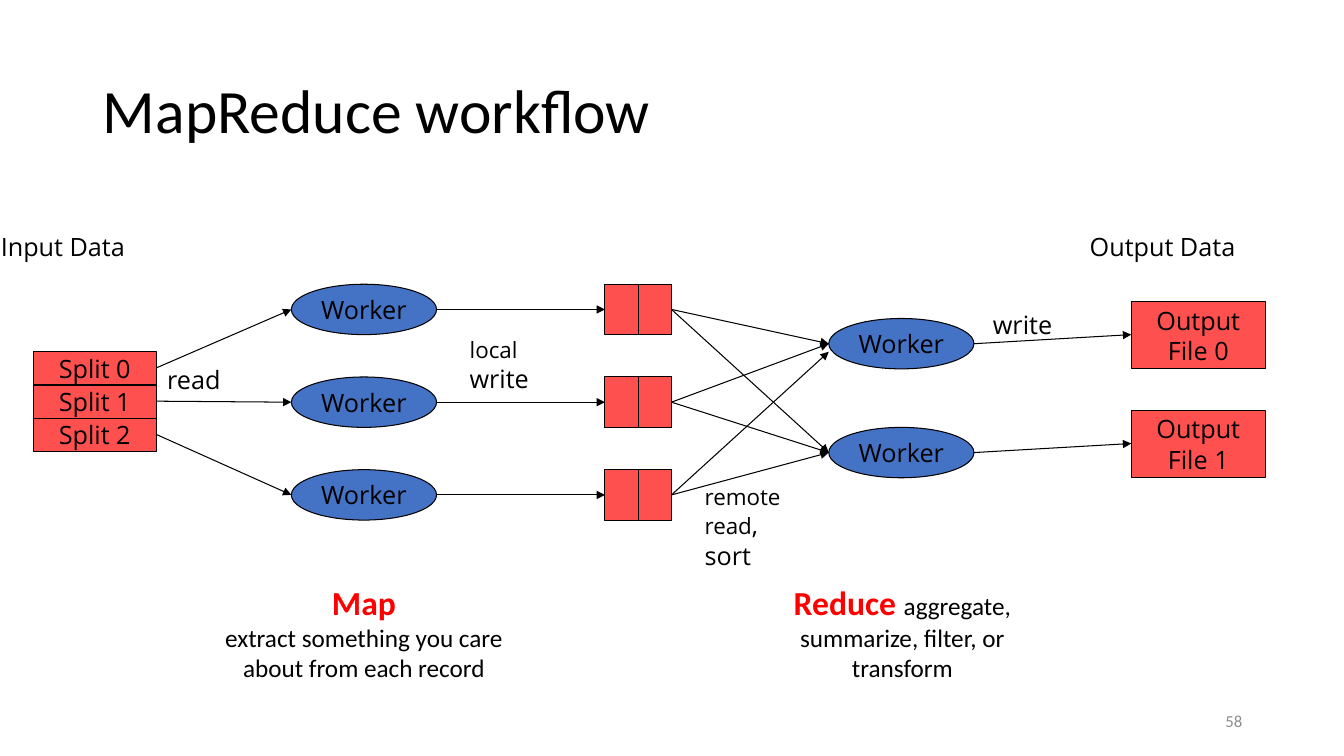
from dataclasses import dataclass
from itertools import product
from typing import Any

from lxml.etree import SubElement
from pptx import Presentation
from pptx.dml.color import RGBColor
from pptx.enum.shapes import MSO_CONNECTOR as Connector, MSO_SHAPE as Shape
from pptx.enum.text import MSO_ANCHOR as Anchor, MSO_AUTO_SIZE as AutoSize, PP_ALIGN as Align
from pptx.oxml.ns import qn
from pptx.util import Emu, Pt

PX = 9144


@dataclass(frozen=True)
class Theme:
    body_font: str = "Calibri"
    diagram_font: str = "Open Sans"
    ink: str = "000000"
    worker: str = "4472C4"
    data: str = "FF5050"
    accent: str = "FF0000"
    muted: str = "8C8C8C"
    title: int = 44
    heading: int = 24
    body: int = 18
    small: int = 16
    footer: int = 12
    line: float = 0.75


THEME = Theme()


@dataclass(frozen=True)
class Run:
    text: str
    size: int = THEME.body
    font: str = THEME.diagram_font
    color: str = THEME.ink
    bold: bool = False


Lines = list[list[Run]]


@dataclass(frozen=True)
class Box:
    left: int
    top: int
    width: int
    height: int

    @property
    def middle(self) -> int:
        return self.top + self.height // 2

    @property
    def entry(self) -> tuple[int, int]:
        return self.left, self.middle

    @property
    def leaving(self) -> tuple[int, int]:
        return self.left + self.width, self.middle


@dataclass(frozen=True)
class Node:
    box: Box
    kind: Shape
    fill: str
    lines: tuple[str, ...] = ()


@dataclass(frozen=True)
class Label:
    box: Box
    lines: Lines
    align: Align = Align.LEFT
    wrap: bool = False
    anchor: Anchor = Anchor.TOP


def apply(target: Any, values: dict[str, Any]) -> None:
    for name, value in values.items():
        setattr(target, name, value)


def place(box: Box) -> list[Emu]:
    return [Emu(length * PX) for length in (box.left, box.top, box.width, box.height)]


def write(frame: Any, lines: Lines, align: Align, spacing: float = 1.0) -> None:
    for index, runs in enumerate(lines):
        paragraph = frame.add_paragraph() if index else frame.paragraphs[0]
        apply(paragraph, {"alignment": align, "line_spacing": spacing})
        for item in runs:
            run = paragraph.add_run()
            run.text = item.text
            apply(run.font, {"size": Pt(item.size), "name": item.font, "bold": item.bold})
            run.font.color.rgb = RGBColor.from_string(item.color)


def outline(shape: Any) -> None:
    shape.line.color.rgb = RGBColor.from_string(THEME.ink)
    shape.line.width = Pt(THEME.line)


def draw_title(slide: Any, box: Box, run: Run) -> None:
    title = slide.shapes.title
    apply(title, dict(zip(("left", "top", "width", "height"), place(box))))
    apply(title.text_frame, {"vertical_anchor": Anchor.MIDDLE, "auto_size": AutoSize.NONE})
    write(title.text_frame, [[run]], Align.LEFT, 0.9)


def draw_node(slide: Any, node: Node) -> None:
    shape = slide.shapes.add_shape(node.kind, *place(node.box))
    shape.shadow.inherit = False
    shape.fill.solid()
    shape.fill.fore_color.rgb = RGBColor.from_string(node.fill)
    outline(shape)
    apply(shape.text_frame, {"word_wrap": False, "vertical_anchor": Anchor.MIDDLE})
    write(shape.text_frame, [[Run(line)] for line in node.lines], Align.CENTER)


def draw_label(slide: Any, label: Label) -> None:
    frame = slide.shapes.add_textbox(*place(label.box)).text_frame
    apply(frame, {"word_wrap": label.wrap, "vertical_anchor": label.anchor})
    write(frame, label.lines, label.align)


def draw_arrow(slide: Any, start: tuple[int, int], end: tuple[int, int]) -> None:
    ends = [Emu(length * PX) for length in (*start, *end)]
    arrow = slide.shapes.add_connector(Connector.STRAIGHT, *ends)
    outline(arrow)
    SubElement(arrow.line._get_or_add_ln(), qn("a:tailEnd"), type="triangle")
    SubElement(arrow._element.spPr, qn("a:effectLst"))


def heading(text: str) -> Run:
    return Run(text, THEME.heading, THEME.body_font, THEME.accent, True)


def caption(text: str) -> Run:
    return Run(text, font=THEME.body_font)


def main() -> None:
    presentation = Presentation()
    apply(presentation, {"slide_width": Emu(1333 * PX), "slide_height": Emu(750 * PX)})
    slide = presentation.slides.add_slide(presentation.slide_layouts[5])
    draw_title(slide, Box(92, 40, 1150, 145),
               Run("MapReduce workflow", THEME.title, THEME.body_font))

    map_tops = [282 + 92 * row for row in range(3)]
    reduce_rows = [108 * row for row in range(2)]
    mappers = [Box(289, top, 144, 50) for top in map_tops]
    reducers = [Box(822, 316 + offset, 144, 50) for offset in reduce_rows]
    splits = [Box(33, 349 + 33 * row, 122, 33) for row in range(3)]
    outputs = [Box(1122, 299 + offset, 133, 67) for offset in reduce_rows]
    buffers = [[Box(600 + 33 * column, top, 33, 50) for column in range(2)] for top in map_tops]

    nodes = [Node(box, Shape.OVAL, THEME.worker, ("Worker",)) for box in mappers + reducers]
    nodes += [Node(box, Shape.RECTANGLE, THEME.data) for pair in buffers for box in pair]
    nodes += [Node(box, Shape.RECTANGLE, THEME.data, (f"Split {index}",))
              for index, box in enumerate(splits)]
    nodes += [Node(box, Shape.RECTANGLE, THEME.data, ("Output", f"File {index}"))
              for index, box in enumerate(outputs)]
    for node in nodes:
        draw_node(slide, node)

    flows = [*zip(splits, mappers), *zip(mappers, [pair[0] for pair in buffers]),
             *zip(reducers, outputs)]
    for source, target in flows:
        draw_arrow(slide, source.leaving, target.entry)
    for (row, pair), (column, reducer) in product(enumerate(buffers), enumerate(reducers)):
        left, middle = reducer.entry
        drop = 8 if (row, column) == (2, 0) else 0
        draw_arrow(slide, pair[1].leaving, (left, middle + drop))

    labels = [
        Label(Box(-9, 225, 157, 40), [[Run("Input Data")]]),
        Label(Box(1071, 225, 176, 40), [[Run("Output Data")]]),
        Label(Box(156, 357, 77, 40), [[Run("read")]]),
        Label(Box(456, 329, 84, 67), [[Run("local", THEME.small)], [Run("write")]]),
        Label(Box(689, 474, 101, 98), [[Run("remote", THEME.small)],
                                       [Run("read", THEME.small), Run(",")], [Run("sort")]]),
        Label(Box(975, 302, 84, 40), [[Run("write")]]),
        Label(Box(183, 572, 356, 111),
              [[heading("Map")], [caption("extract something you care about from each record")]],
              Align.CENTER, True),
        Label(Box(763, 572, 264, 111),
              [[heading("Reduce "), caption("aggregate, summarize, filter, or transform")]],
              Align.CENTER, True),
        Label(Box(942, 695, 300, 40),
              [[Run("58", THEME.footer, THEME.body_font, THEME.muted)]],
              Align.RIGHT, True, Anchor.MIDDLE),
    ]
    for label in labels:
        draw_label(slide, label)
    presentation.save("out.pptx")


if __name__ == "__main__":
    main()
